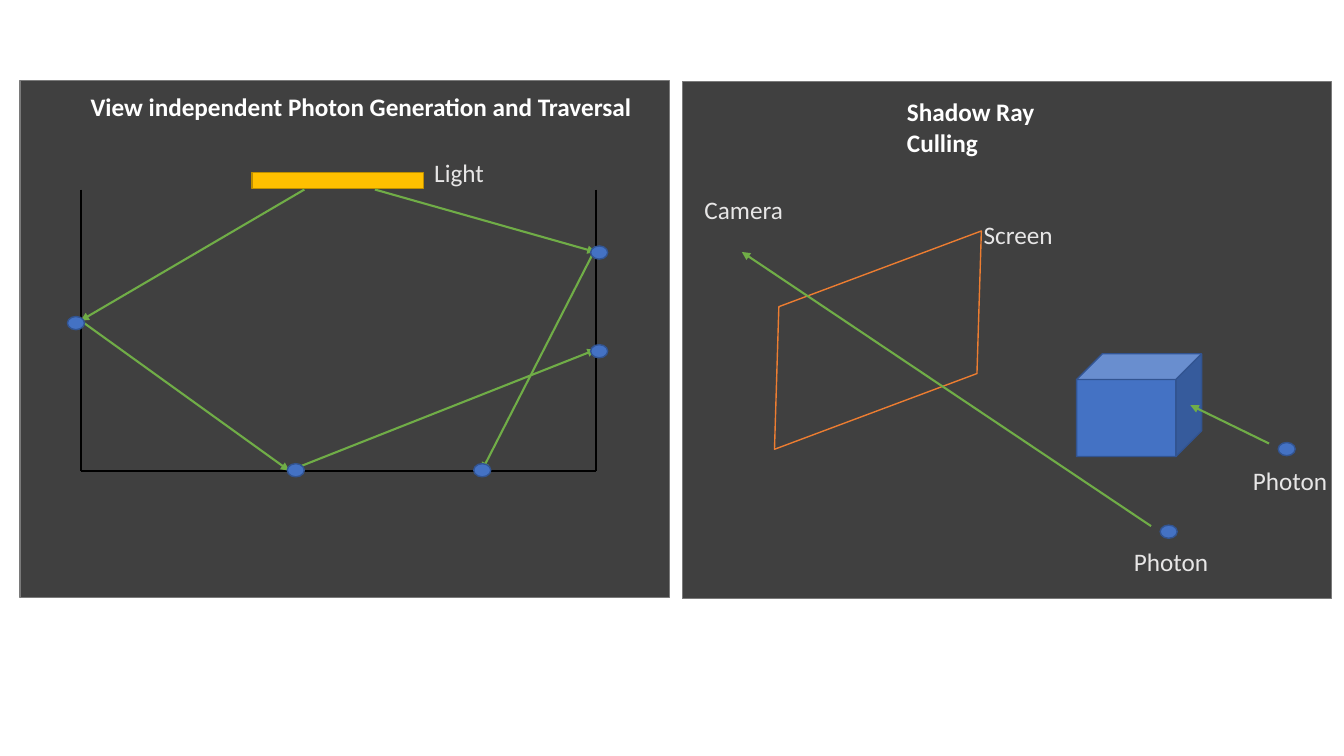
from dataclasses import dataclass

from lxml import etree
from pptx import Presentation
from pptx import util as u
from pptx.dml.color import RGBColor
from pptx.enum import shapes, text
from pptx.oxml.ns import qn

COLORS = {
    "panel": "404040", "panel_edge": "7A7A7A",
    "blue": "4472C4", "blue_edge": "325491",
    "lamp": "FFC000", "lamp_edge": "BD8E00",
    "screen": "ED7D31", "ray": "70AD47", "wall": "000000",
    "title": "FFFFFF", "label": "E7E6E6",
}
FONT = "Calibri"
PANEL_SIZE = (463.7, 369.4)
DOT_SIZE = (12.2, 9.4)
Kind = shapes.MSO_SHAPE


@dataclass
class Block:
    kind: Kind
    left: float
    top: float
    width: float
    height: float
    fill: str | None
    edge: str
    rotation: float = 0


@dataclass
class Segment:
    x1: float
    y1: float
    x2: float
    y2: float
    color: str = "ray"
    arrow: bool = True


@dataclass
class Label:
    words: str
    left: float
    top: float
    width: float
    height: float = 28.8
    color: str = "label"
    bold: bool = False
    wrap: bool = False


def color(name: str) -> RGBColor:
    return RGBColor.from_string(COLORS[name])


def panel(left: float, top: float) -> Block:
    return Block(Kind.RECTANGLE, left, top, *PANEL_SIZE, "panel", "panel_edge")


def photon(left: float, top: float) -> Block:
    return Block(Kind.OVAL, left, top, *DOT_SIZE, "blue", "blue_edge")


def draw_block(slide, block: Block) -> None:
    shape = slide.shapes.add_shape(
        block.kind, u.Pt(block.left), u.Pt(block.top),
        u.Pt(block.width), u.Pt(block.height))
    shape.shadow.inherit = False
    shape.rotation = block.rotation
    if block.fill:
        shape.fill.solid()
        shape.fill.fore_color.rgb = color(block.fill)
    else:
        shape.fill.background()
    shape.line.color.rgb = color(block.edge)
    shape.line.width = u.Pt(1)


def draw_segment(slide, segment: Segment) -> None:
    connector = slide.shapes.add_connector(
        shapes.MSO_CONNECTOR.STRAIGHT, u.Pt(segment.x1), u.Pt(segment.y1),
        u.Pt(segment.x2), u.Pt(segment.y2))
    connector.line.color.rgb = color(segment.color)
    connector.line.width = u.Pt(1.5)
    properties = connector._element.spPr
    if segment.arrow:
        etree.SubElement(properties.find(qn("a:ln")), qn("a:tailEnd"), type="triangle")
    etree.SubElement(properties, qn("a:effectLst"))


def draw_label(slide, label: Label) -> None:
    box = slide.shapes.add_textbox(
        u.Pt(label.left), u.Pt(label.top), u.Pt(label.width), u.Pt(label.height))
    text_frame = box.text_frame
    text_frame.text = label.words
    text_frame.word_wrap = label.wrap
    text_frame.auto_size = text.MSO_AUTO_SIZE.SHAPE_TO_FIT_TEXT
    font = text_frame.paragraphs[0].runs[0].font
    font.name = FONT
    font.size = u.Pt(18)
    font.bold = label.bold
    font.color.rgb = color(label.color)


# Panels, lamp, occluding cube and screen
SCENERY = [
    panel(487.4, 58.3),
    panel(14.4, 57.6),
    Block(Kind.CUBE, 769, 252.7, 89.3, 73.4, "blue", "blue_edge"),
    Block(Kind.FLOWCHART_DATA, 530.6, 195.8, 193, 94.3, None, "screen", 339.5),
    Block(Kind.RECTANGLE, 180, 123.1, 122.4, 11.5, "lamp", "lamp_edge"),
]

# Open room around the light
LEFT_WALL, RIGHT_WALL, CEILING, FLOOR = 57.6, 425.5, 135.4, 336.2
WALLS = [
    Segment(LEFT_WALL, CEILING, LEFT_WALL, FLOOR, "wall", False),
    Segment(LEFT_WALL, FLOOR, RIGHT_WALL, FLOOR, "wall", False),
    Segment(RIGHT_WALL, CEILING, RIGHT_WALL, FLOOR, "wall", False),
]

# Photon paths, then shadow rays
RAYS = [
    Segment(217.4, CEILING, LEFT_WALL, 229),
    Segment(LEFT_WALL, 229, 206.6, FLOOR),
    Segment(213.8, 333.4, RIGHT_WALL, 249.8),
    Segment(267.8, CEILING, RIGHT_WALL, 180),
    Segment(424.1, 180, 344.2, FLOOR),
    Segment(906.5, 316.8, 850.3, 289.4),
    Segment(822.2, 375.8, 529.9, 180),
]

PHOTONS = [
    photon(48.2, 226.1), photon(205.2, 331.2), photon(338.4, 331.2),
    photon(421.9, 175.7), photon(421.9, 246.2),
    photon(913, 316.1), photon(828.7, 375.1),
]

LABELS = [
    Label("View independent Photon Generation and Traversal",
          57.6, 61.9, 403.9, color="title", bold=True),
    Label("Shadow Ray Culling", 640.8, 65.5, 151.2, 24.5, "title", True, True),
    Label("Light", 303.1, 108.7, 50.4),
    Label("Camera", 496.1, 135.4, 71.3),
    Label("Screen", 695.5, 153.4, 64.1),
    Label("Photon", 887.8, 329, 68.4),
    Label("Photon", 802.8, 386.6, 68.4),
]


def main() -> None:
    presentation = Presentation()
    presentation.slide_width = u.Pt(960)
    presentation.slide_height = u.Pt(540)
    slide = presentation.slides.add_slide(presentation.slide_layouts[6])
    for block in SCENERY:
        draw_block(slide, block)
    for segment in WALLS + RAYS:
        draw_segment(slide, segment)
    for block in PHOTONS:
        draw_block(slide, block)
    for label in LABELS:
        draw_label(slide, label)
    presentation.save("out.pptx")


if __name__ == "__main__":
    main()
